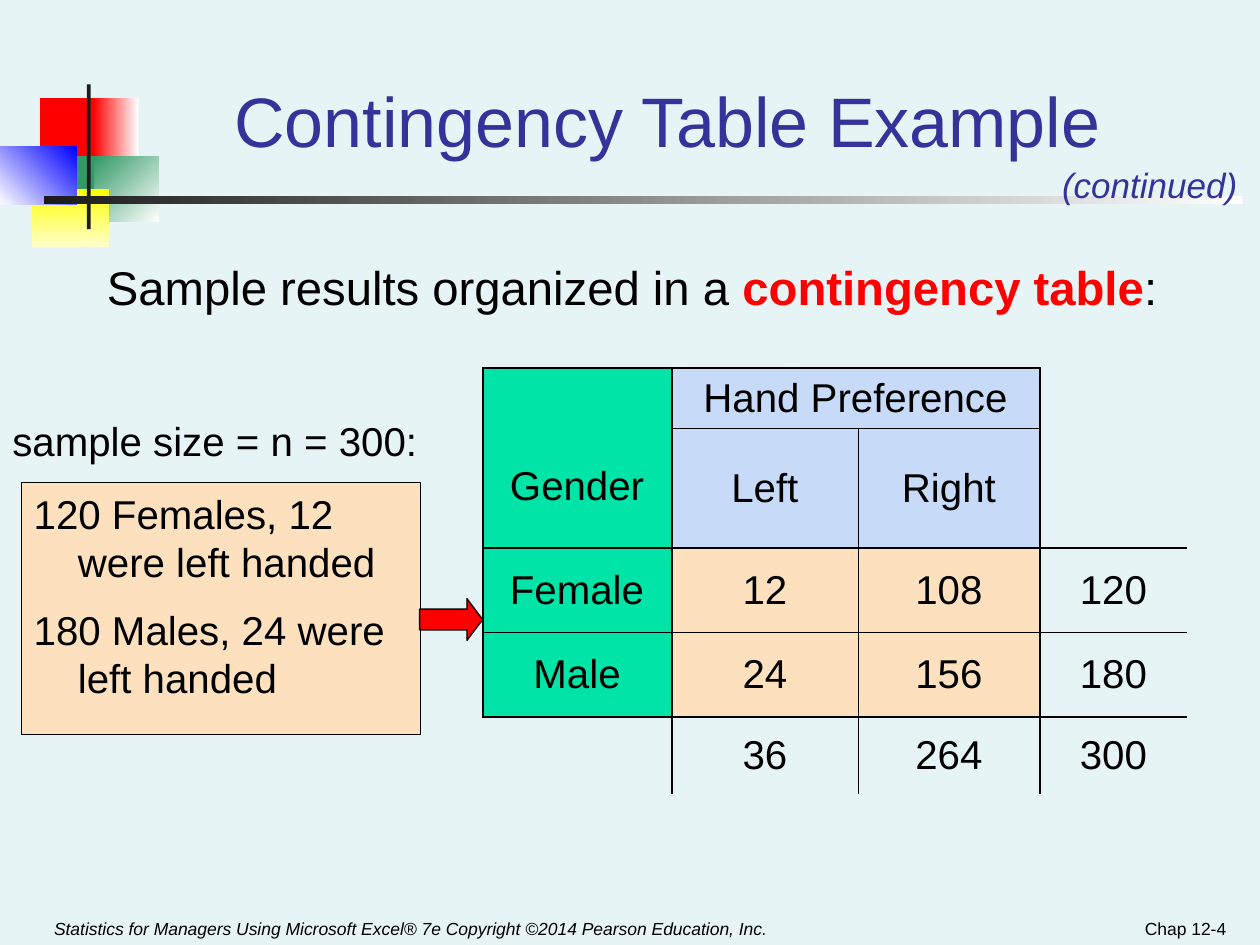
from dataclasses import dataclass

from lxml import etree
from pptx import Presentation
from pptx.dml.color import RGBColor
from pptx.enum.shapes import MSO_SHAPE
from pptx.enum.text import MSO_ANCHOR, MSO_AUTO_SIZE, PP_ALIGN
from pptx.oxml.ns import qn
from pptx.util import Cm, Pt

RECTANGLE, RIGHT_ARROW = MSO_SHAPE.RECTANGLE, MSO_SHAPE.RIGHT_ARROW
LEFT, CENTER, RIGHT = PP_ALIGN.LEFT, PP_ALIGN.CENTER, PP_ALIGN.RIGHT
TOP, MIDDLE, BOTTOM = MSO_ANCHOR.TOP, MSO_ANCHOR.MIDDLE, MSO_ANCHOR.BOTTOM


@dataclass(frozen=True)
class Theme:
    font: str = "Arial"
    background: str = "E7F4F5"
    heading: str = "333399"
    text: str = "000000"
    accent: str = "FF0000"
    dark: str = "1C1C1C"
    white: str = "FFFFFF"
    green: str = "339966"
    yellow: str = "FFFF00"
    pale_yellow: str = "FFFFCC"
    blue: str = "0000FF"
    row_header: str = "00E4A8"
    column_header: str = "C7DAF7"
    data: str = "FDE0BD"
    title_size: int = 40
    lead_size: int = 27
    body_size: int = 23
    continued_size: int = 20
    footer_size: int = 10


THEME = Theme()
HANGING_INDENT = Cm(0.89)

# Table content; merged areas are (first row, first column, last row, last column)
ROWS = [
    ["Gender", "Hand Preference", "", ""],
    ["", "Left", "Right", ""],
    ["Female", "12", "108", "120"],
    ["Male", "24", "156", "180"],
    ["", "36", "264", "300"],
]
MERGED_AREAS = [(0, 0, 1, 0), (0, 1, 0, 2), (0, 3, 1, 3)]
COLUMN_WIDTHS = [3.81, 3.76, 3.66, 2.97]
ROW_HEIGHTS = [1.22, 2.41, 1.7, 1.7, 1.55]

# Rule weights in points
THIN, MEDIUM, THICK = 0.45, 1.08, 1.47
HORIZONTAL_RULES = [
    [THICK, THICK, THICK, 0],
    [0, THIN, THIN, 0],
    [MEDIUM] * 4,
    [THIN] * 4,
    [THICK, THICK, THICK, MEDIUM],
    [0] * 4,
]
VERTICAL_RULES = [
    [THICK, MEDIUM, 0, THICK, 0],
    *[[THICK, MEDIUM, THIN, THICK, 0]] * 3,
    [0, MEDIUM, THIN, MEDIUM, 0],
]


def color(value):
    return RGBColor.from_string(value)


def place(shape, left, top, width, height):
    shape.left, shape.top = Cm(left), Cm(top)
    shape.width, shape.height = Cm(width), Cm(height)


def format_span(span, size, shade=THEME.text, bold=False, italic=False):
    font = span.font
    font.name, font.size = THEME.font, Pt(size)
    font.bold, font.italic = bold, italic
    font.color.rgb = color(shade)


def hang(para):
    """Give a paragraph a hanging indent without a bullet."""
    properties = para._p.get_or_add_pPr()
    properties.set("marL", str(HANGING_INDENT))
    properties.set("indent", str(-HANGING_INDENT))
    etree.SubElement(properties, qn("a:buNone"))


def write(frame, text, size, align=LEFT, anchor=TOP, **style):
    frame.word_wrap = True
    frame.auto_size = MSO_AUTO_SIZE.NONE
    frame.vertical_anchor = anchor
    frame.text = text
    for para in frame.paragraphs:
        para.alignment = align
        for span in para.runs:
            format_span(span, size, **style)


def add_text(page, bounds, text, size, **style):
    box = page.shapes.add_textbox(*map(Cm, bounds))
    write(box.text_frame, text, size, **style)


def add_block(page, bounds, fill, kind=RECTANGLE, outlined=False, end=None, angle=0):
    """Add a plain block, or a gradient one; the angle runs clockwise."""
    block = page.shapes.add_shape(kind, *map(Cm, bounds))
    block.shadow.inherit = False
    if end:
        block.fill.gradient()
        block.fill.gradient_angle = (360 - angle) % 360
        for stop, shade in zip(block.fill.gradient_stops, (fill, end)):
            stop.color.rgb = color(shade)
    else:
        block.fill.solid()
        block.fill.fore_color.rgb = color(fill)
    if outlined:
        block.line.color.rgb = color(THEME.text)
        block.line.width = Pt(0.75)
    else:
        block.line.fill.background()
    return block


def add_ornament(page):
    add_block(page, (0.81, 1.98, 1.22, 1.32), THEME.accent)
    add_block(page, (1.88, 1.98, 0.91, 1.32), THEME.accent, end=THEME.white)
    add_block(page, (1.9, 3.15, 1.3, 1.32), THEME.green, end=THEME.white, angle=45)
    add_block(page, (1.09, 3.15, 0.81, 1.32), THEME.green)
    add_block(page, (0.64, 3.81, 1.55, 1.17), THEME.yellow, end=THEME.pale_yellow, angle=90)
    add_block(page, (0, 2.95, 1.55, 1.17), THEME.white, end=THEME.blue, angle=315)
    add_block(page, (1.75, 1.7, 0.08, 2.92), THEME.dark)
    add_block(page, (0.89, 3.96, 24.16, 0.15), THEME.dark, end=THEME.white)


def fill_placeholders(page):
    title, body = page.shapes.title, page.placeholders[1]
    place(title, 3.2, 0.64, 20.5, 2.74)
    write(title.text_frame, "Contingency Table Example", THEME.title_size,
          align=CENTER, anchor=BOTTOM, shade=THEME.heading)

    place(body, 1.9, 5.08, 22.02, 1.7)
    write(body.text_frame, "Sample results organized in a ", THEME.lead_size)
    para = body.text_frame.paragraphs[0]
    hang(para)
    para.space_before = Pt(0)
    for text, style in (("contingency table", {"shade": THEME.accent, "bold": True}),
                        (":", {})):
        span = para.add_run()
        span.text = text
        format_span(span, THEME.lead_size, **style)


def set_borders(cell, weights):
    properties = cell._tc.get_or_add_tcPr()
    for side, weight in weights.items():
        line = etree.SubElement(properties, qn(f"a:ln{side}"), w=str(Pt(weight)))
        if weight:
            fill = etree.SubElement(line, qn("a:solidFill"))
            etree.SubElement(fill, qn("a:srgbClr"), val=THEME.text)
        else:
            etree.SubElement(line, qn("a:noFill"))


def cell_fill(row, column):
    if column == 3 or row == 4:
        return None
    if column == 0:
        return THEME.row_header
    return THEME.column_header if row < 2 else THEME.data


def add_contingency_table(page):
    table = page.shapes.add_table(
        len(ROWS), len(COLUMN_WIDTHS), Cm(9.73), Cm(7.42),
        Cm(sum(COLUMN_WIDTHS)), Cm(sum(ROW_HEIGHTS))).table
    table.first_row = table.horz_banding = False
    for column, width in zip(table.columns, COLUMN_WIDTHS):
        column.width = Cm(width)
    for row, height in zip(table.rows, ROW_HEIGHTS):
        row.height = Cm(height)
    for top, left, bottom, right in MERGED_AREAS:
        table.cell(top, left).merge(table.cell(bottom, right))

    for r, texts in enumerate(ROWS):
        for c, text in enumerate(texts):
            cell = table.cell(r, c)
            set_borders(cell, {
                "L": VERTICAL_RULES[r][c],
                "R": VERTICAL_RULES[r][c + cell.span_width],
                "T": HORIZONTAL_RULES[r][c],
                "B": HORIZONTAL_RULES[r + cell.span_height][c],
            })
            shade = cell_fill(r, c)
            if shade:
                cell.fill.solid()
                cell.fill.fore_color.rgb = color(shade)
            else:
                cell.fill.background()
            cell.vertical_anchor = MIDDLE
            if text:
                cell.text_frame.text = text
                para = cell.text_frame.paragraphs[0]
                para.alignment = CENTER
                format_span(para.runs[0], THEME.body_size)
    table.cell(0, 0).margin_top = Cm(1.27)  # lowers "Gender"


def add_sample_summary(page):
    box = add_block(page, (0.43, 9.73, 8.05, 5.08), THEME.data, outlined=True)
    write(box.text_frame,
          "120 Females, 12 were left handed\n180 Males, 24 were left handed",
          THEME.body_size)
    for para in box.text_frame.paragraphs:
        hang(para)
    box.text_frame.paragraphs[1].space_before = Pt(11.5)

    arrow = add_block(page, (8.46, 12.07, 1.27, 0.84), THEME.accent,
                      kind=RIGHT_ARROW, outlined=True)
    arrow.adjustments[1] = 0.375
    add_text(page, (0, 8.26, 9.09, 1.47), "sample size = n = 300:", THEME.body_size)


def main():
    deck = Presentation()
    deck.slide_width, deck.slide_height = Cm(25.4), Cm(19.05)
    page = deck.slides.add_slide(deck.slide_layouts[1])
    page.background.fill.solid()
    page.background.fill.fore_color.rgb = color(THEME.background)

    # Frame of the slide
    add_ornament(page)
    add_text(page, (0.84, 17.98, 16.08, 1.07),
             "Statistics for Managers Using Microsoft Excel® 7e "
             "Copyright ©2014 Pearson Education, Inc.",
             THEME.footer_size, anchor=BOTTOM, italic=True)
    add_text(page, (19.05, 18.16, 5.92, 0.89), "Chap 12-4",
             THEME.footer_size, align=RIGHT, anchor=BOTTOM)

    # Content
    fill_placeholders(page)
    add_text(page, (21.16, 3.18, 4.24, 1.12), "(continued)",
             THEME.continued_size, shade=THEME.heading, italic=True)
    add_contingency_table(page)
    add_sample_summary(page)
    deck.save("out.pptx")


if __name__ == "__main__":
    main()
